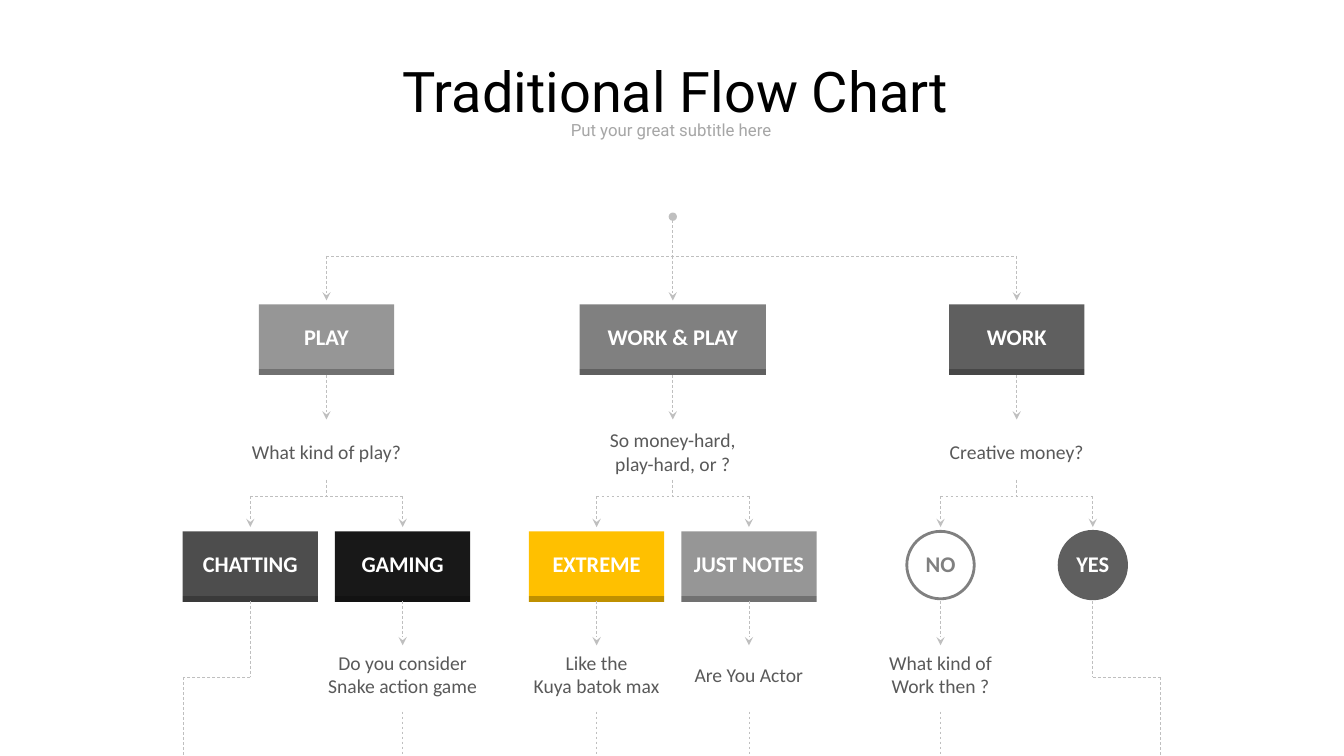
from dataclasses import dataclass

from lxml import etree
from pptx import Presentation
from pptx.dml.color import RGBColor
from pptx.enum.dml import MSO_LINE
from pptx.enum.shapes import MSO_CONNECTOR, MSO_SHAPE
from pptx.enum.text import MSO_ANCHOR, PP_ALIGN
from pptx.oxml.ns import qn
from pptx.util import Cm, Pt

RECT, OVAL = MSO_SHAPE.RECTANGLE, MSO_SHAPE.OVAL
LINE, DASH = MSO_CONNECTOR.STRAIGHT, MSO_LINE.DASH
MID, CENTER = MSO_ANCHOR.MIDDLE, PP_ALIGN.CENTER


@dataclass(frozen=True)
class Theme:
    head_font: str = "Roboto"
    body_font: str = "Calibri"
    title_size: int = 40
    sub_size: int = 12
    label_size: int = 16
    ask_size: int = 14
    title: str = "000000"
    sub: str = "A6A6A6"
    ask: str = "595959"
    wire: str = "BFBFBF"
    white: str = "FFFFFF"
    light: str = "969696"
    gray: str = "808080"
    slate: str = "5F5F5F"
    dark: str = "4D4D4D"
    black: str = "181818"
    gold: str = "FFC000"


THEME = Theme()


@dataclass(frozen=True)
class Box:
    x: float
    y: float
    w: float
    h: float

    @property
    def mid(self):
        return self.x + self.w / 2

    @property
    def end(self):
        return self.y + self.h

    def place(self):
        return Cm(self.x), Cm(self.y), Cm(self.w), Cm(self.h)


@dataclass(frozen=True)
class Leaf:
    label: str
    fill: str
    ask: str = ""
    round: bool = False
    hollow: bool = False


@dataclass(frozen=True)
class Topic:
    mid: float
    label: str
    fill: str
    width: float
    ask: str
    leaves: tuple


# Centimetres
SPREAD = 1.92
SPAN = 7.3
BLOCK_W, BLOCK_H, BAR = 3.41, 1.78, 0.15
DISC = 1.7
ARROW = 1.12
SLIDE_W, SLIDE_H = 33.88, 19.05
SPLIT = 6.45

TOPICS = (
    Topic(8.23, "PLAY", THEME.light, BLOCK_W, "What kind of play?", (
        Leaf("CHATTING", THEME.dark),
        Leaf("GAMING", THEME.black, "Do you consider\nSnake action game"))),
    Topic(16.96, "WORK & PLAY", THEME.gray, 4.7,
          "So money-hard,\nplay-hard, or ?", (
              Leaf("EXTREME", THEME.gold, "Like the\nKuya batok max"),
              Leaf("JUST NOTES", THEME.light, "Are You Actor"))),
    Topic(25.63, "WORK", THEME.slate, BLOCK_W, "Creative money?", (
        Leaf("NO", THEME.gray, "What kind of\nWork then ?", True, True),
        Leaf("YES", THEME.slate, round=True))),
)


def shade(color):
    """Return the colour at three quarters of its brightness."""
    return RGBColor(*(int(part * 0.75 + 0.5)
                      for part in RGBColor.from_string(color)))


def write(shape, text, size, color, font=THEME.body_font, bold=False):
    frame = shape.text_frame
    frame.text = text
    frame.word_wrap = False
    frame.vertical_anchor = MID
    frame.margin_left = frame.margin_right = 0
    frame.margin_top = frame.margin_bottom = 0
    for para in frame.paragraphs:
        para.alignment = CENTER
        para.font.size = Pt(size)
        para.font.name = font
        para.font.bold = bold
        para.font.color.rgb = RGBColor.from_string(color)


def note(slide, box, *style):
    write(slide.shapes.add_textbox(*box.place()), *style)


def ask(slide, mid, y, text):
    """Write a question centred on the given point."""
    note(slide, Box(mid - 2, y - 0.75, 4, 1.5), text,
         THEME.ask_size, THEME.ask)


def wire(slide, x1, y1, x2, y2, head="", tail=""):
    line = slide.shapes.add_connector(LINE, Cm(x1), Cm(y1), Cm(x2), Cm(y2))
    line.line.color.rgb = RGBColor.from_string(THEME.wire)
    line.line.width = Pt(0.5)
    line.line.dash_style = DASH
    props = line.line._get_or_add_ln()
    for tag, kind in (("a:headEnd", head), ("a:tailEnd", tail)):
        if kind:
            etree.SubElement(props, qn(tag), type=kind)
    etree.SubElement(line._element.spPr, qn("a:effectLst"))


def arrow(slide, x, y1, y2):
    wire(slide, x, y1, x, y2, tail="stealth")


def solid(shapes, kind, box, color):
    shape = shapes.add_shape(kind, *box.place())
    shape.shadow.inherit = False
    shape.fill.solid()
    shape.fill.fore_color.rgb = color
    shape.line.fill.background()
    return shape


def block(slide, box, label, fill):
    """Draw a labelled block with a darker bar along its foot."""
    shapes = slide.shapes.add_group_shape().shapes
    face = solid(shapes, RECT, Box(box.x, box.y, box.w, box.h - BAR),
                 RGBColor.from_string(fill))
    write(face, label, THEME.label_size, THEME.white, bold=True)
    solid(shapes, RECT, Box(box.x, box.end - BAR, box.w, BAR), shade(fill))


def disc(slide, box, leaf):
    color = RGBColor.from_string(leaf.fill)
    shape = solid(slide.shapes, OVAL, box, color)
    shape.line.color.rgb = color
    shape.line.width = Pt(2)
    if leaf.hollow:
        shape.fill.background()
    write(shape, leaf.label, THEME.label_size,
          leaf.fill if leaf.hollow else THEME.white, bold=True)
    shape.text_frame.margin_bottom = Cm(0.1)


def heading(slide, box):
    note(slide, Box(box.x, box.y, box.w, 1.96), "Traditional Flow Chart",
         THEME.title_size, THEME.title, THEME.head_font)
    note(slide, Box(box.x - 0.11, box.end - 0.76, box.w, 0.76),
         "Put your great subtitle here",
         THEME.sub_size, THEME.sub, THEME.head_font)


def trunk(slide, box):
    """Draw the starting dot, its stem and the bar that feeds each topic."""
    stem = TOPICS[1].mid
    wire(slide, stem, box.y, stem, box.end, head="oval")
    wire(slide, box.x, box.end, box.x + box.w, box.end)


def twig(slide, box, leaf, side):
    """Draw one answer and the path that leaves it."""
    mid, top = box.mid, box.y + 0.89
    arrow(slide, mid, box.y, box.y + 0.78)
    if leaf.round:
        disc(slide, Box(mid - DISC / 2, top, DISC, DISC), leaf)
    else:
        block(slide, Box(box.x, top, box.w, BLOCK_H), leaf.label, leaf.fill)
    foot = top + BLOCK_H - 0.03
    if leaf.ask:
        arrow(slide, mid, foot, foot + ARROW)
        ask(slide, mid, foot + 1.85, leaf.ask)
        wire(slide, mid, foot + 2.79, mid, box.end)
    else:
        bend, out = foot + 1.93, mid + side * DISC
        wire(slide, mid, foot, mid, bend)
        wire(slide, mid, bend, out, bend)
        wire(slide, out, bend, out, box.end)


def branch(slide, box, topic):
    """Draw a topic, its question and its two answers."""
    mid, top = box.mid, box.y + 1.22
    foot, fork = top + BLOCK_H, box.y + 6.05
    arrow(slide, mid, box.y, box.y + ARROW)
    block(slide, Box(mid - topic.width / 2, top, topic.width, BLOCK_H),
          topic.label, topic.fill)
    arrow(slide, mid, foot, foot + ARROW)
    ask(slide, mid, box.y + 4.93, topic.ask)
    wire(slide, mid, fork - 0.41, mid, fork)
    wire(slide, mid - SPREAD, fork, mid + SPREAD, fork)
    for side, leaf in zip((-1, 1), topic.leaves):
        left = mid + side * SPREAD - BLOCK_W / 2
        twig(slide, Box(left, fork, BLOCK_W, box.end - fork), leaf, side)


def main():
    deck = Presentation()
    deck.slide_width, deck.slide_height = Cm(SLIDE_W), Cm(SLIDE_H)
    slide = deck.slides.add_slide(deck.slide_layouts[6])
    first, last = TOPICS[0].mid, TOPICS[-1].mid
    trunk(slide, Box(first, 5.46, last - first, SPLIT - 5.46))
    for topic in TOPICS:
        branch(slide, Box(topic.mid - SPAN / 2, SPLIT, SPAN,
                          SLIDE_H - SPLIT), topic)
    heading(slide, Box(9.73, 1.3, 14.6, 2.36))
    deck.save("out.pptx")


if __name__ == "__main__":
    main()
